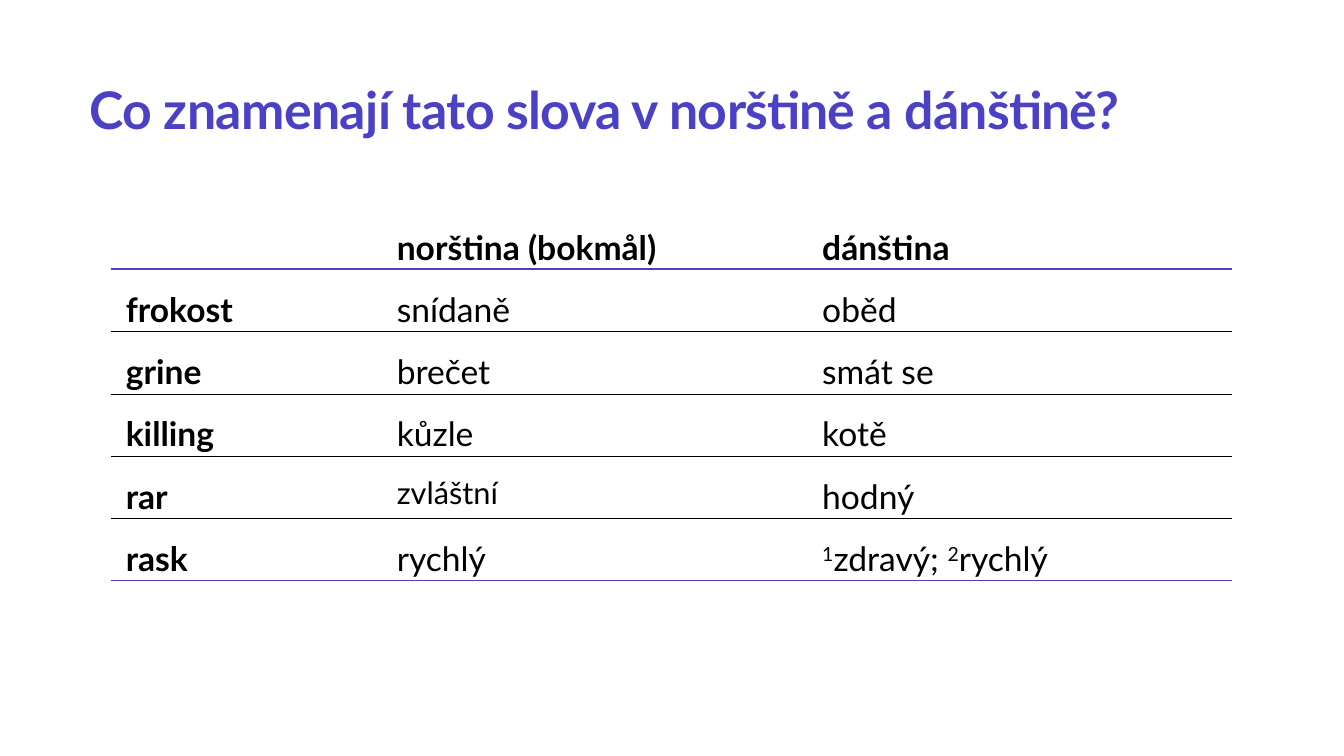
from lxml.etree import SubElement
from pptx import Presentation
from pptx.dml.color import RGBColor
from pptx.enum.text import MSO_ANCHOR, PP_ALIGN
from pptx.oxml.ns import qn
from pptx.util import Cm, Pt

COLORS = {"accent": "4A41C5", "text": "000000"}
FONT = "Lato"
COLUMN_WIDTHS = (6.83, 10.72, 10.72)
ROW_HEIGHT = 1.57
SUPERSCRIPT = {"1", "2"}
ROWS = [
    ("", "norština (bokmål)", "dánština"),
    ("frokost", "snídaně", "oběd"),
    ("grine", "brečet", "smát se"),
    ("killing", "kůzle", "kotě"),
    ("rar", "zvláštní", "hodný"),
    ("rask", "rychlý", ("1", "zdravý; ", "2", "rychlý")),
]
SMALLER_WORDS = {"zvláštní": 22}
HEADER_RULE = ("accent", 1.5)
ROW_RULE = ("text", 0.25)
LAST_RULE = ("accent", 1)
RULES = [None, HEADER_RULE] + [ROW_RULE] * (len(ROWS) - 2) + [LAST_RULE]


def style_font(p, size, color, bold):
    p.font.name = FONT
    p.font.size = Pt(size)
    p.font.bold = bold
    p.font.color.rgb = RGBColor.from_string(COLORS[color])


def set_borders(cell, top, bottom):
    tc_pr = cell._tc.get_or_add_tcPr()
    for side, rule in (("L", None), ("R", None), ("T", top), ("B", bottom)):
        ln = SubElement(tc_pr, qn(f"a:ln{side}"))
        if rule is None:
            SubElement(ln, qn("a:noFill"))
            continue
        color, width = rule
        ln.set("w", str(Pt(width)))
        fill = SubElement(ln, qn("a:solidFill"))
        SubElement(fill, qn("a:srgbClr")).set("val", COLORS[color])


def fill_cell(cell, content, bold):
    cell.margin_left = cell.margin_right = Cm(0.38)
    cell.margin_top = cell.margin_bottom = 0
    cell.vertical_anchor = MSO_ANCHOR.TOP
    p = cell.text_frame.paragraphs[0]
    p.alignment = PP_ALIGN.JUSTIFY
    p.line_spacing = 1.5
    p.space_after = Pt(8)
    style_font(p, SMALLER_WORDS.get(content, 24), "text", bold)
    parts = (content,) if isinstance(content, str) else content
    for part in filter(None, parts):
        r = p.add_run()
        r.text = part
        if part in SUPERSCRIPT:
            r._r.get_or_add_rPr().set("baseline", "30000")


def add_title(s, left, top, width, height, text):
    tf = s.shapes.add_textbox(Cm(left), Cm(top), Cm(width), Cm(height)).text_frame
    tf.word_wrap = True
    tf.vertical_anchor = MSO_ANCHOR.TOP
    p = tf.paragraphs[0]
    p.line_spacing = 0.9
    style_font(p, 37, "accent", True)
    r = p.add_run()
    r.text = text
    r._r.get_or_add_rPr().set("spc", "-40")


def add_word_table(s, left, top):
    table = s.shapes.add_table(
        len(ROWS), len(COLUMN_WIDTHS), Cm(left), Cm(top),
        Cm(sum(COLUMN_WIDTHS)), Cm(ROW_HEIGHT * len(ROWS)),
    ).table
    table.first_row = table.horz_banding = False
    for column, width in zip(table.columns, COLUMN_WIDTHS):
        column.width = Cm(width)
    for i, words in enumerate(ROWS):
        table.rows[i].height = Cm(ROW_HEIGHT)
        for j, content in enumerate(words):
            cell = table.cell(i, j)
            fill_cell(cell, content, i == 0 or j == 0)
            set_borders(cell, RULES[i], RULES[i + 1])
            cell.fill.background()


def main():
    prs = Presentation()
    prs.slide_width, prs.slide_height = Cm(33.87), Cm(19.05)
    s = prs.slides.add_slide(prs.slide_layouts[6])
    add_title(s, 2.01, 2.01, 29.87, 2.18,
              "Co znamenají tato slova v norštině a dánštině?")
    add_word_table(s, 2.79, 5.21)
    prs.save("out.pptx")


if __name__ == "__main__":
    main()
